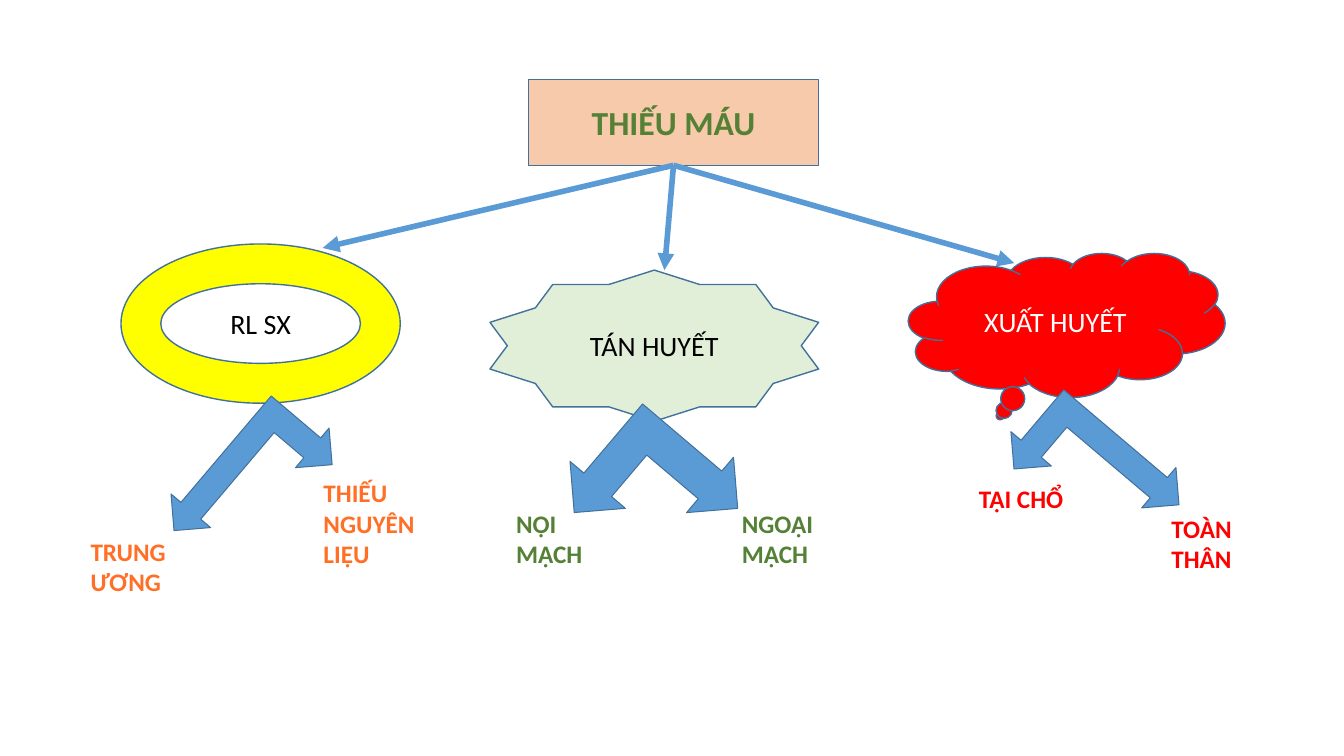
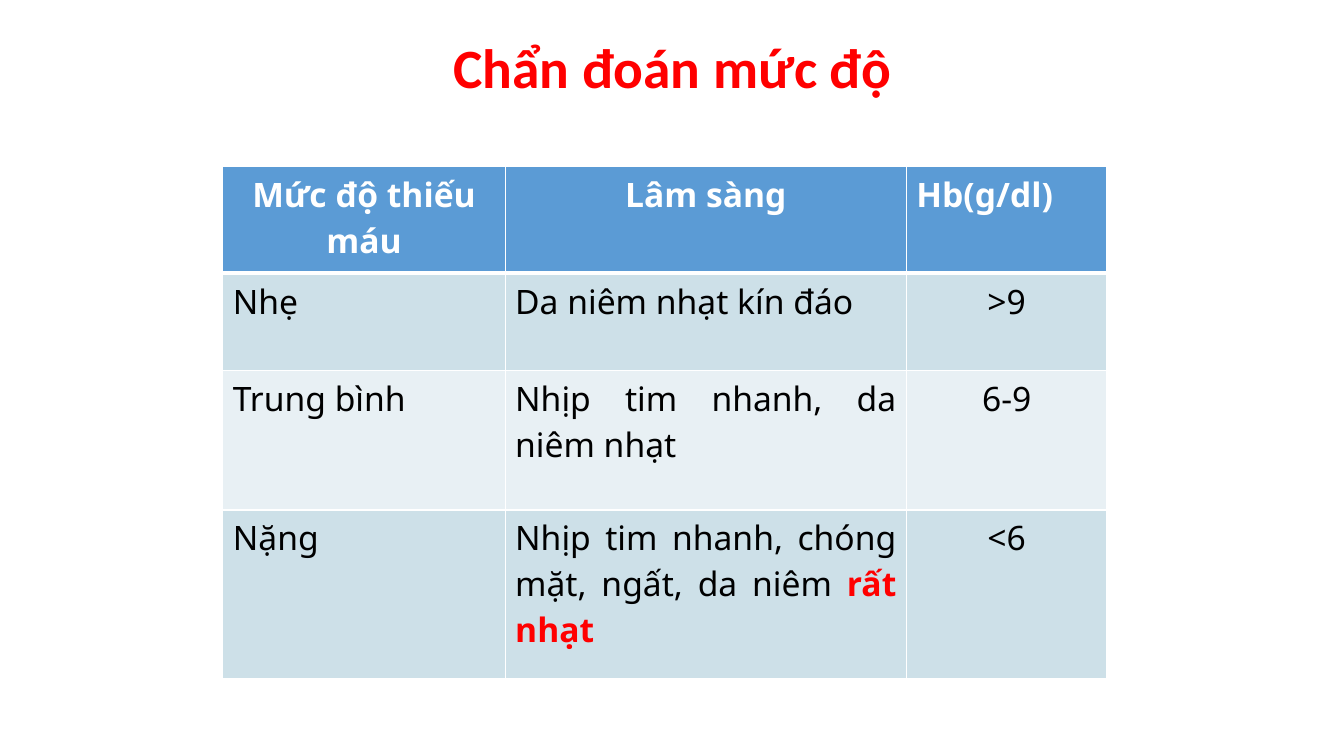
from lxml import etree
from pptx import Presentation
from pptx.dml.color import RGBColor
from pptx.enum import shapes, text
from pptx.oxml.ns import qn
from pptx.util import Inches, Pt

WHITE = RGBColor(0xFF, 0xFF, 0xFF)
BLACK = RGBColor(0, 0, 0)
RED = RGBColor(0xFF, 0, 0)
YELLOW = RGBColor(0xFF, 0xFF, 0)
ORANGE = RGBColor(0xFF, 0x6F, 0x26)
GREEN = RGBColor(0x54, 0x81, 0x35)
PALE_GREEN = RGBColor(0xE1, 0xEF, 0xD8)
PEACH = RGBColor(0xF7, 0xCA, 0xAC)
BLUE = RGBColor(0x5B, 0x9B, 0xD5)
OUTLINE = RGBColor(0x42, 0x71, 0x9B)
BAND_DARK = RGBColor(0xCD, 0xE0, 0xE8)
BAND_LIGHT = RGBColor(0xE8, 0xF0, 0xF4)

BODY_FONT, TABLE_FONT = "Calibri", "Noto Sans"
SHAPE, ALIGN = shapes.MSO_SHAPE, text.PP_ALIGN


def write(tf, runs, size=18, color=BLACK, bold=False, font=BODY_FONT,
          align=ALIGN.LEFT, anchor=None, spacing=None):
    """Fill a text frame; runs is a string or a list of (text, color, bold)."""
    tf.word_wrap = True
    if anchor is not None:
        tf.vertical_anchor = anchor
    p = tf.paragraphs[0]
    p.alignment = align
    if spacing:
        p.line_spacing = spacing
    if isinstance(runs, str):
        runs = [(runs, color, bold)]
    for words, run_color, run_bold in runs:
        r = p.add_run()
        r.text = words
        r.font.name, r.font.size, r.font.bold = font, Pt(size), run_bold
        r.font.color.rgb = run_color


def add_shape(slide, kind, box, fill, line_width=1, rotation=0, adjust=()):
    sp = slide.shapes.add_shape(kind, *map(Inches, box))
    sp.shadow.inherit = False
    sp.fill.solid()
    sp.fill.fore_color.rgb = fill
    sp.line.color.rgb = OUTLINE
    sp.line.width = Pt(line_width)
    sp.rotation = rotation
    for i, value in enumerate(adjust):
        sp.adjustments[i] = value
    return sp


def add_node(slide, kind, box, fill, label, adjust=(), **fmt):
    sp = add_shape(slide, kind, box, fill, adjust=adjust)
    write(sp.text_frame, label, align=ALIGN.CENTER,
          anchor=text.MSO_ANCHOR.MIDDLE, **fmt)
    return sp


def add_arrow(slide, source, tip):
    """Draw an arrow from the bottom of the source box to the tip."""
    x, y = map(Inches, tip)
    line = slide.shapes.add_connector(shapes.MSO_CONNECTOR.STRAIGHT, x, y, x, y)
    line.begin_connect(source, 2)
    line.line.color.rgb = BLUE
    line.line.width = Pt(4)
    ln = line.line._get_or_add_ln()
    etree.SubElement(ln, qn("a:tailEnd"), type="triangle")
    etree.SubElement(line._element.spPr, qn("a:effectLst"))


def add_branch(slide, root, box, kind, fill, label, label_color, tip, fork,
               leaves, leaf_color, adjust=()):
    """One cause and its two subtypes; tip, fork and leaves are offsets in box."""
    left, top, _, _ = box
    add_arrow(slide, root, (left + tip[0], top + tip[1]))
    add_node(slide, kind, box, fill, label, adjust, size=20, color=label_color)
    dx, dy, w, h = fork
    add_shape(slide, SHAPE.LEFT_UP_ARROW, (left + dx, top + dy, w, h), BLUE,
              line_width=0.75, rotation=220.3)
    for words, dx, dy, w, h in leaves:
        tb = slide.shapes.add_textbox(
            *map(Inches, (left + dx, top + dy, w, h)))
        write(tb.text_frame, words, color=leaf_color, bold=True)


def build_causes(prs):
    slide = prs.slides.add_slide(prs.slide_layouts[6])
    root = add_node(slide, SHAPE.RECTANGLE, (5.24, 0.79, 2.88, 0.85), PEACH,
                    "THIẾU MÁU", size=24, color=GREEN, bold=True)
    # Reduced production
    add_branch(slide, root, (1.2, 2.42, 2.77, 1.58), SHAPE.DONUT, YELLOW,
               "RL SX", BLACK, tip=(2, 0.04), fork=(0.78, 1.45, 1.03, 1.77),
               leaves=[("TRUNG ƯƠNG", -0.4, 2.85, 1.14, 0.71),
                       ("THIẾU NGUYÊN LIỆU", 1.91, 2.27, 1.47, 1.01)],
               leaf_color=ORANGE)
    # Haemolysis
    add_branch(slide, root, (4.86, 2.68, 3.26, 1.5), SHAPE.STAR_10_POINT,
               PALE_GREEN, "TÁN HUYẾT", BLACK, tip=(1.73, 0),
               fork=(0.84, 1.41, 1.57, 1.44),
               leaves=[("NỘI MẠCH", 0.16, 2.31, 1.14, 0.71),
                       ("NGOẠI MẠCH", 2.4, 2.31, 1.14, 0.71)],
               leaf_color=GREEN)
    # Bleeding
    add_branch(slide, root, (9.01, 2.51, 3.14, 1.43), SHAPE.CLOUD_CALLOUT, RED,
               "XUẤT HUYẾT", WHITE, tip=(1.05, 0.1),
               fork=(0.98, 1.61, 1.74, 1.05),
               leaves=[("TẠI CHỔ", 0.6, 2.24, 1.14, 0.71),
                       ("TOÀN THÂN", 2.51, 2.53, 1.14, 0.71)],
               leaf_color=RED, adjust=(-0.21, 0.63))


def add_title(slide, words):
    title = slide.shapes.title
    title.left, title.top, title.width, title.height = map(
        Inches, (0.92, 0.4, 11.5, 0.6))
    write(title.text_frame, words, size=39.6, color=RED, bold=True,
          align=ALIGN.CENTER, anchor=text.MSO_ANCHOR.MIDDLE, spacing=0.9)


def set_borders(cell, **widths):
    """Give a cell white borders; widths in points by side: L, R, T, B."""
    tc_pr = cell._tc.get_or_add_tcPr()
    for side in "LRTB":
        ln = etree.SubElement(tc_pr, qn("a:ln" + side),
                              w=str(Pt(widths.get(side, 1))))
        fill = etree.SubElement(ln, qn("a:solidFill"))
        etree.SubElement(fill, qn("a:srgbClr"), val=str(WHITE))


def add_severity_table(slide, left, top, columns, heights, rows):
    frame = slide.shapes.add_table(
        len(rows), len(columns), Inches(left), Inches(top),
        Inches(sum(columns)), Inches(sum(heights)))
    table = frame.table
    for column, width in zip(table.columns, columns):
        column.width = Inches(width)
    for i, (height, row) in enumerate(zip(heights, rows)):
        table.rows[i].height = Inches(height)
        header = i == 0
        fill = BLUE if header else (BAND_LIGHT, BAND_DARK)[i % 2]
        for j, words in enumerate(row):
            cell = table.cell(i, j)
            # The header centres its first two cells, the body its last one
            centred = (j < 2) == header
            set_borders(cell, T=3 if i == 1 else 1, B=3 if header else 1)
            cell.fill.solid()
            cell.fill.fore_color.rgb = fill
            write(cell.text_frame, words, size=24, font=TABLE_FONT, bold=header,
                  color=WHITE if header else BLACK,
                  align=ALIGN.CENTER if centred else ALIGN.JUSTIFY)


def build_severity(prs):
    slide = prs.slides.add_slide(prs.slide_layouts[5])
    add_title(slide, "Chẩn đoán mức độ")
    severe_signs = [("Nhịp tim nhanh, chóng mặt, ngất, da niêm ", BLACK, False),
                    ("rất nhạt", RED, True)]
    add_severity_table(
        slide, 2.21, 1.65, (2.8, 3.98, 1.99), (1.06, 0.97, 1.38, 1.67),
        [("Mức độ thiếu máu", "Lâm sàng", "Hb(g/dl)"),
         ("Nhẹ", "Da niêm nhạt kín đáo", ">9"),
         ("Trung bình", "Nhịp tim nhanh, da niêm nhạt", "6-9"),
         ("Nặng", severe_signs, "<6")])


def main():
    prs = Presentation()
    prs.slide_width, prs.slide_height = Inches(13.33), Inches(7.5)
    build_causes(prs)
    build_severity(prs)
    prs.save("out.pptx")


if __name__ == "__main__":
    main()
